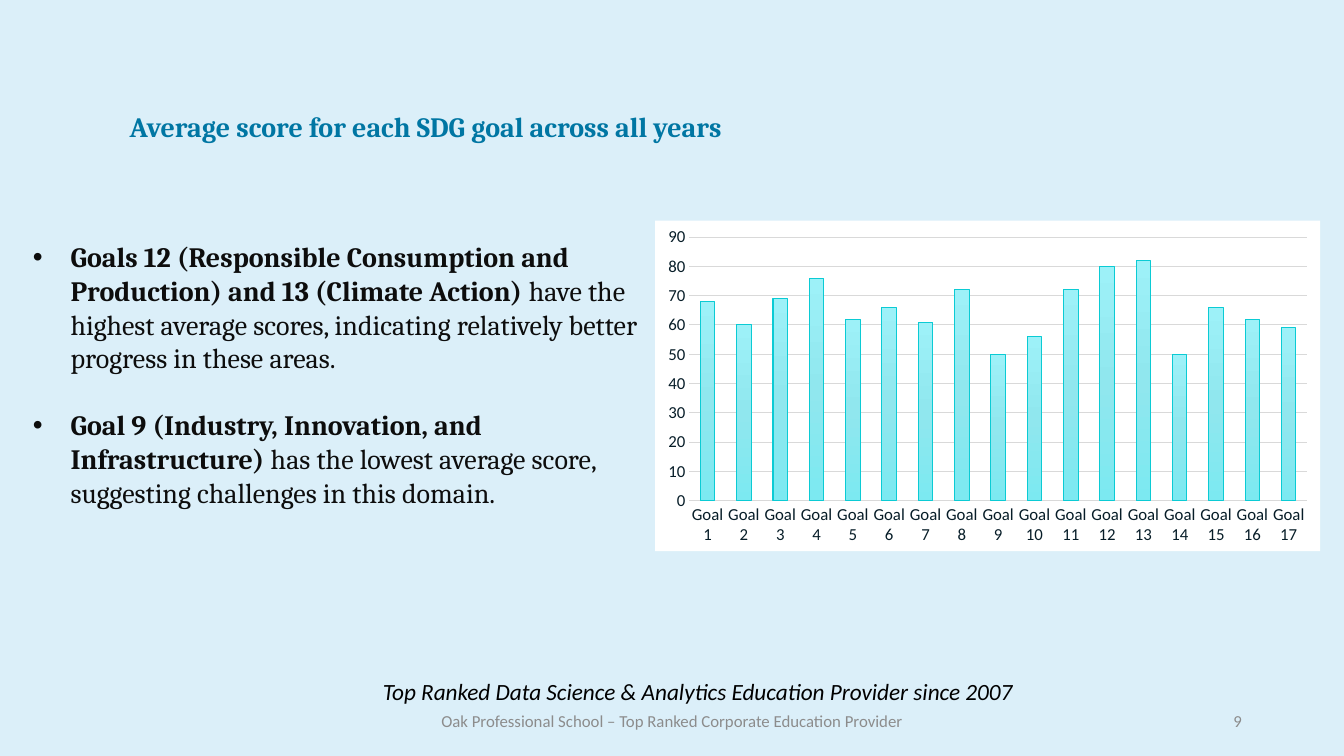
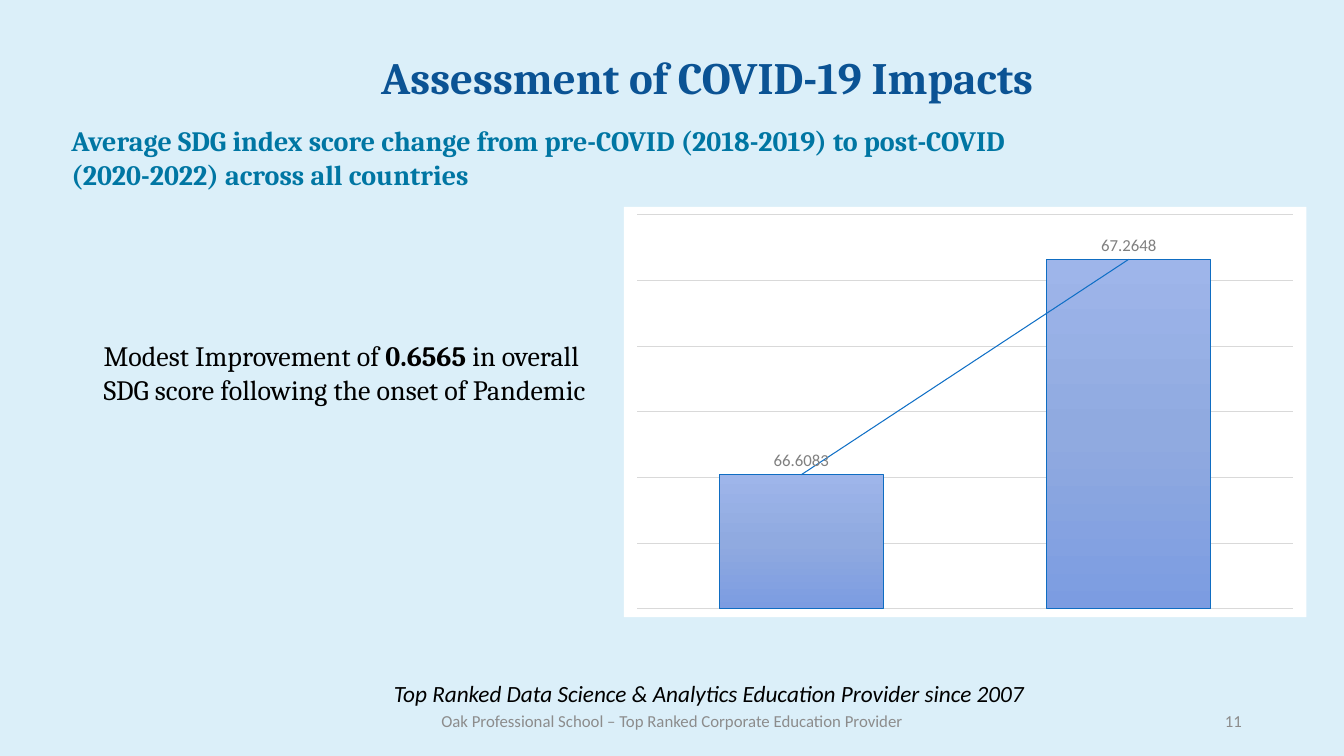
"""Build two slides on SDG scores: goal averages and the COVID-19 change."""
from copy import deepcopy

from lxml.etree import SubElement
from pptx import Presentation
from pptx.chart.data import CategoryChartData
from pptx.dml.color import RGBColor
from pptx.enum.chart import XL_CHART_TYPE, XL_LABEL_POSITION, XL_TICK_MARK
from pptx.enum.text import MSO_ANCHOR, PP_ALIGN
from pptx.oxml import parse_xml
from pptx.oxml.ns import nsdecls, qn
from pptx.util import Cm, Pt

BACKGROUND = RGBColor(0xDB, 0xEF, 0xF9)
TITLE_BLUE = RGBColor(0x0B, 0x53, 0x94)
HEADING_BLUE = RGBColor(0x00, 0x76, 0xA3)
BLACK = RGBColor(0x00, 0x00, 0x00)
BODY = RGBColor(0x0D, 0x0D, 0x0D)
FOOTER_GRAY = RGBColor(0x8C, 0x8C, 0x8C)
LABEL_GRAY = RGBColor(0x80, 0x80, 0x80)
GRID_GRAY = RGBColor(0xD9, 0xD9, 0xD9)
AXIS_TEXT = RGBColor(0x07, 0x1D, 0x28)
AQUA_LINE = RGBColor(0x0B, 0xCB, 0xD4)
AQUA_STOPS = [RGBColor(0x9D, 0xF1, 0xF8), RGBColor(0x90, 0xE7, 0xEE), RGBColor(0x7C, 0xE9, 0xF1)]
BLUE_LINE = RGBColor(0x0F, 0x6D, 0xC2)
BLUE_STOPS = [RGBColor(0x9E, 0xB5, 0xEA), RGBColor(0x90, 0xAA, 0xE0), RGBColor(0x7C, 0x9C, 0xE1)]
TREND_LINE = RGBColor(0x0F, 0x6F, 0xC6)

HEADING_FONT = "Cambria"
PLAIN_FONT = "Calibri"


def add_text(slide, box, paragraphs, size, color, font=HEADING_FONT, italic=False,
             align=PP_ALIGN.LEFT, anchor=MSO_ANCHOR.TOP):
    """Add a text box; each paragraph is a list of (text, bold) pairs."""
    text_frame = slide.shapes.add_textbox(*map(Cm, box)).text_frame
    text_frame.word_wrap = True
    text_frame.vertical_anchor = anchor
    for index, pieces in enumerate(paragraphs):
        paragraph = text_frame.add_paragraph() if index else text_frame.paragraphs[0]
        paragraph.alignment = align
        for text, bold in pieces:
            run = paragraph.add_run()
            run.text = text
            run.font.name = font
            run.font.size = Pt(size)
            run.font.bold = bold
            run.font.italic = italic
            run.font.color.rgb = color
    return text_frame


def add_columns(slide, box, chart_type, categories, values, gap, overlap, stops, line, text_color):
    """Add a one-series column chart with gradient columns on a white area."""
    data = CategoryChartData()
    data.categories = categories
    data.add_series("Series 1", values)
    chart = slide.shapes.add_chart(chart_type, *map(Cm, box), data).chart
    chart.has_legend = False
    chart.has_title = False
    chart.font.name = PLAIN_FONT
    chart.font.size = Pt(12)
    chart.font.color.rgb = text_color
    chart._chartSpace.find(qn("c:chart")).addnext(parse_xml(
        f'<c:spPr {nsdecls("c", "a")}><a:solidFill><a:srgbClr val="FFFFFF"/></a:solidFill>'
        '<a:ln><a:noFill/></a:ln></c:spPr>'))

    plot = chart.plots[0]
    plot.vary_by_categories = False
    plot.gap_width = gap
    plot.overlap = overlap
    for axis in (chart.category_axis, chart.value_axis):
        axis.major_tick_mark = XL_TICK_MARK.NONE
        axis.minor_tick_mark = XL_TICK_MARK.NONE
    chart.category_axis.format.line.color.rgb = GRID_GRAY
    chart.category_axis.format.line.width = Pt(0.75)
    chart.value_axis.format.line.fill.background()
    chart.value_axis.has_major_gridlines = True
    gridline = chart.value_axis.major_gridlines.format.line
    gridline.color.rgb = GRID_GRAY
    gridline.width = Pt(0.75)

    column_format = plot.series[0].format
    column_format.line.color.rgb = line
    column_format.line.width = Pt(0.75)
    column_format.fill.gradient()
    column_format.fill.gradient_angle = 270
    stop_list = plot.series[0]._element.find(".//" + qn("a:gsLst"))
    stop_list.append(deepcopy(stop_list[0]))
    for stop, color, position in zip(column_format.fill.gradient_stops, stops, (0, 0.5, 1)):
        stop.color.rgb = color
        stop.position = position
    return chart


presentation = Presentation()
presentation.slide_width = Cm(33.87)
presentation.slide_height = Cm(19.05)
background = presentation.slide_master.background.fill
background.solid()
background.fore_color.rgb = BACKGROUND

slides = []
for number, tagline_left, tagline_top in (("9", 5.59, 16.9), ("11", 5.87, 16.95)):
    slide = presentation.slides.add_slide(presentation.slide_layouts[6])
    slides.append(slide)
    add_text(slide, (10.82, 17.65, 12.24, 1.02),
             [[("Oak Professional School – Top Ranked Corporate Education Provider", False)]],
             12, FOOTER_GRAY, PLAIN_FONT, align=PP_ALIGN.CENTER, anchor=MSO_ANCHOR.MIDDLE)
    add_text(slide, (tagline_left, tagline_top, 23.98, 1.02),
             [[("Top Ranked Data Science & Analytics Education Provider since 2007", False)]],
             16.6, BLACK, PLAIN_FONT, italic=True, align=PP_ALIGN.CENTER,
             anchor=MSO_ANCHOR.MIDDLE)
    add_text(slide, (23.93, 17.65, 7.62, 1.02), [[(number, False)]], 12, FOOTER_GRAY,
             PLAIN_FONT, align=PP_ALIGN.RIGHT, anchor=MSO_ANCHOR.MIDDLE)
goals_slide, covid_slide = slides

add_text(goals_slide, (3.02, 2.64, 18.16, 1.88),
         [[("Average score for each SDG goal across all years", True)]], 20, HEADING_BLUE)
findings = add_text(goals_slide, (0.58, 5.92, 16.36, 8.81), [
    [("Goals 12 (Responsible Consumption and Production) and 13 (Climate Action) ", True),
     ("have the highest average scores, indicating relatively better progress in these areas.",
      False)],
    [("Goal 9 (Industry, Innovation, and Infrastructure) ", True),
     ("has the lowest average score, suggesting challenges in this domain.", False)],
], 20, BODY)
for paragraph in findings.paragraphs:
    properties = paragraph._p.get_or_add_pPr()
    properties.set("marL", str(Cm(0.95)))
    properties.set("indent", str(-Cm(0.95)))
    SubElement(properties, qn("a:buFont"), typeface="Arial")
    SubElement(properties, qn("a:buChar"), char="•")
findings.paragraphs[1].space_before = Pt(24)

goal_scores = [68, 60, 69, 76, 62, 66, 61, 72, 50, 56, 72, 80, 82, 50, 66, 62, 59]
goals_chart = add_columns(
    goals_slide, (16.51, 5.56, 16.76, 8.33), XL_CHART_TYPE.COLUMN_STACKED,
    [f"Goal {goal}" for goal in range(1, len(goal_scores) + 1)], goal_scores,
    150, 100, AQUA_STOPS, AQUA_LINE, AXIS_TEXT)
goals_chart.value_axis.minimum_scale = 0
goals_chart.value_axis.maximum_scale = 90
goals_chart.value_axis.major_unit = 10

add_text(covid_slide, (8.79, 1.14, 18.08, 1.63),
         [[("Assessment of COVID-19 Impacts", True)]], 32, TITLE_BLUE, align=PP_ALIGN.CENTER)
add_text(covid_slide, (1.55, 3, 26.16, 1.96),
         [[("Average SDG index score change from pre-COVID (2018-2019) to post-COVID "
            "(2020-2022) across all countries", True)]], 20, HEADING_BLUE)
add_text(covid_slide, (2.36, 8.41, 12.85, 2.82),
         [[("Modest Improvement of ", False), ("0.6565", True),
           (" in overall SDG score following the onset of Pandemic", False)]], 20, BLACK)

covid_chart = add_columns(
    covid_slide, (15.72, 5.21, 17.2, 10.34), XL_CHART_TYPE.COLUMN_CLUSTERED,
    ["1", "2"], [66.6083, 67.2648], 100, -24, BLUE_STOPS, BLUE_LINE, BLACK)
covid_chart.category_axis.visible = False
covid_chart.value_axis.visible = False
covid_chart.value_axis.minimum_scale = 66.2
covid_chart.value_axis.maximum_scale = 67.4
covid_chart.value_axis.major_unit = 0.2

covid_series = covid_chart.plots[0].series[0]
labels = covid_series.data_labels
labels.show_value = True
labels.position = XL_LABEL_POSITION.OUTSIDE_END
labels.font.name = PLAIN_FONT
labels.font.size = Pt(12)
labels.font.color.rgb = LABEL_GRAY
covid_series._element.find(qn("c:cat")).addprevious(parse_xml(
    f'<c:trendline {nsdecls("c", "a")}><c:spPr><a:ln w="{Pt(0.75)}"><a:solidFill>'
    f'<a:srgbClr val="{TREND_LINE}"/></a:solidFill></a:ln></c:spPr>'
    '<c:trendlineType val="linear"/><c:dispRSqr val="0"/><c:dispEq val="0"/></c:trendline>'))

presentation.save("out.pptx")
